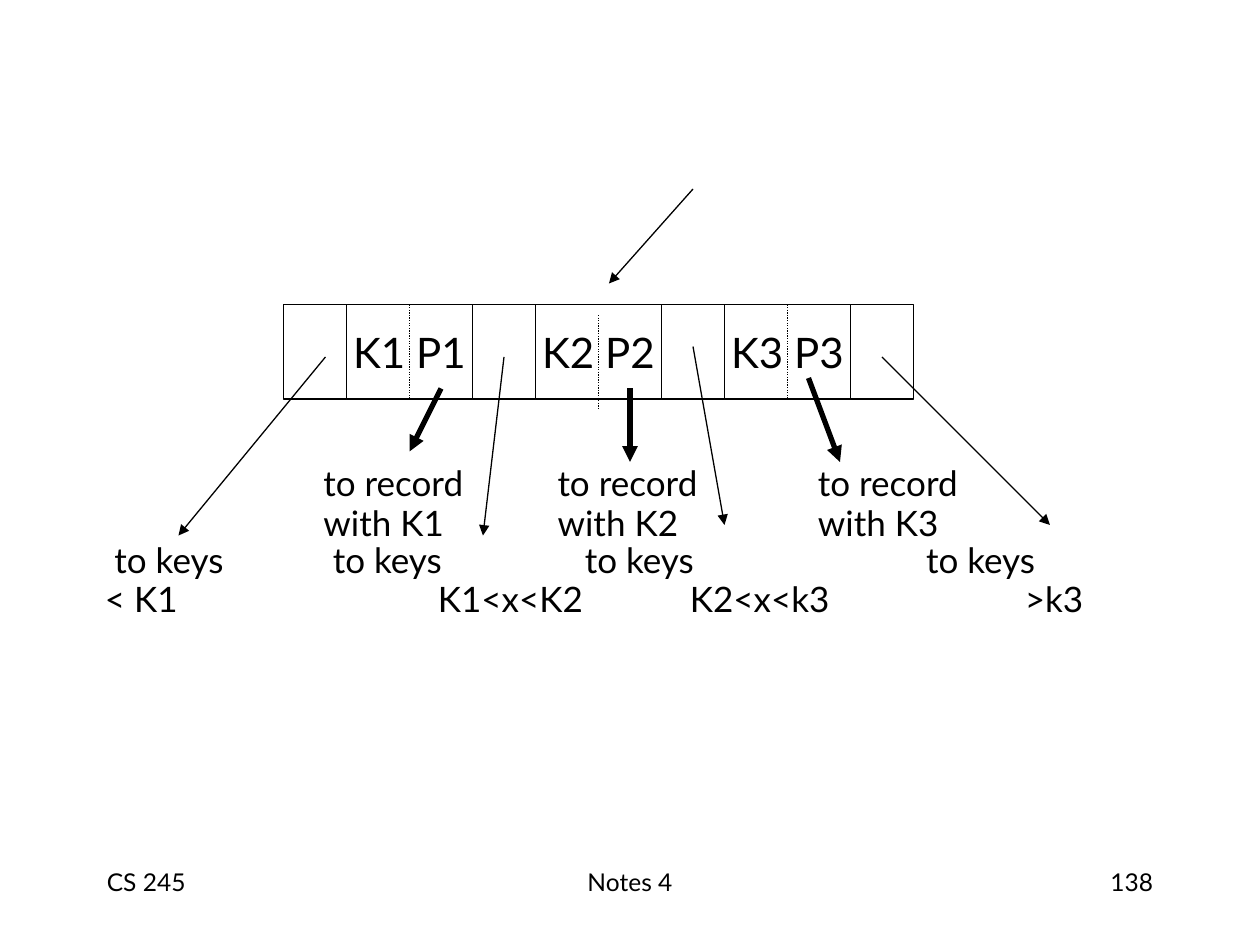
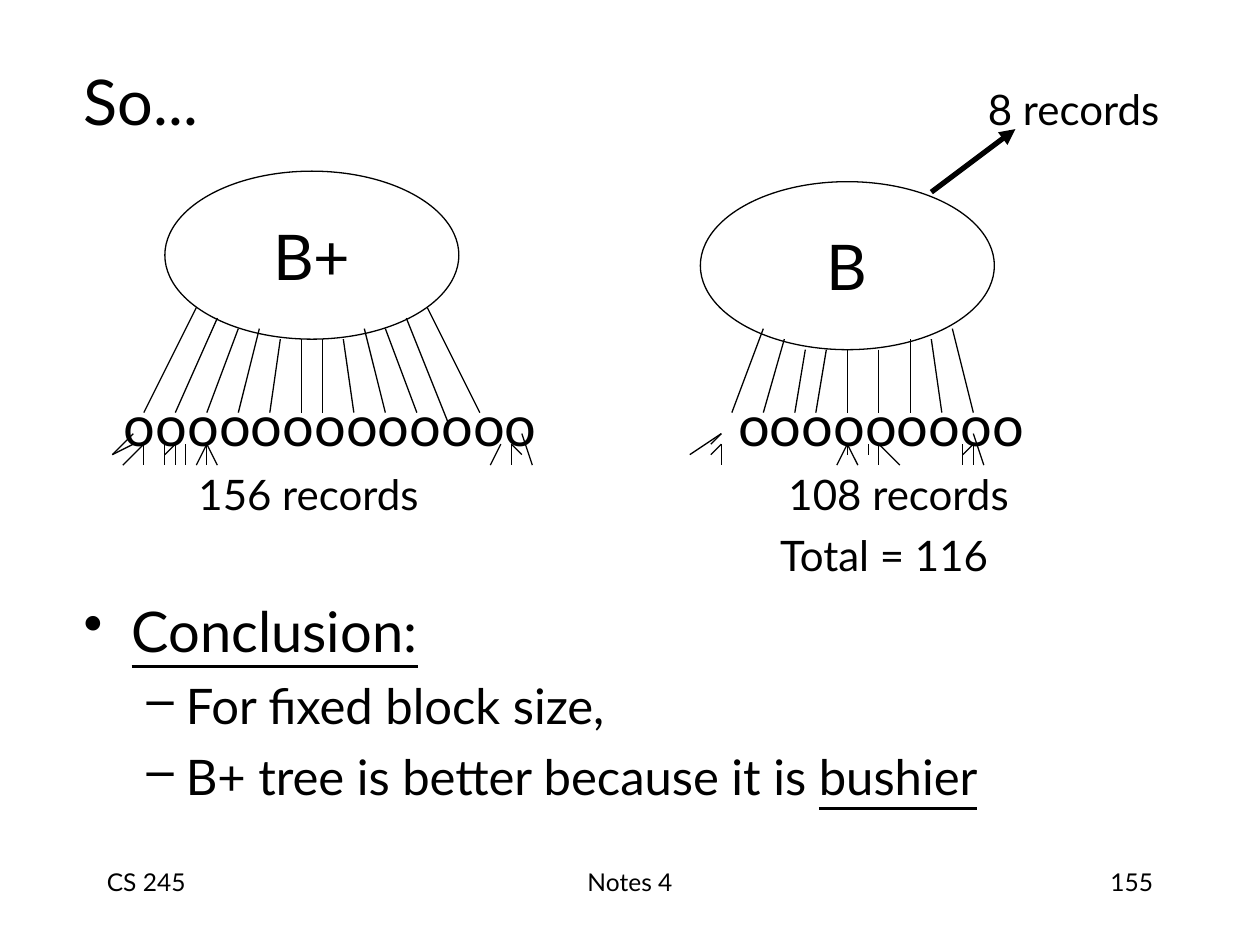
from dataclasses import dataclass
from typing import Any

from lxml import etree
from pptx import Presentation
from pptx.dml.color import RGBColor
from pptx.enum import dml, shapes, text
from pptx.oxml.ns import qn
from pptx.util import Inches, Pt

COLS, ROWS = 120, 90
WIDTH, HEIGHT = Inches(10), Inches(7.5)
INK, PAPER = "000000", "FFFFFF"
FONT = "Lato"
THIN, THICK = 0.75, 3
LEFT, CENTER, RIGHT = (text.PP_ALIGN.LEFT, text.PP_ALIGN.CENTER,
                       text.PP_ALIGN.RIGHT)
MIDDLE, TOP = text.MSO_ANCHOR.MIDDLE, text.MSO_ANCHOR.TOP


def color(hex_code):
    return RGBColor.from_string(hex_code)


@dataclass
class Box:
    """A region of a slide; its origin is in grid columns and rows."""
    slide: Any
    col: float = 0
    row: float = 0

    def x(self, col):
        return round((self.col + col) * WIDTH / COLS)

    def y(self, row):
        return round((self.row + row) * HEIGHT / ROWS)

    def rect(self, col, row, cols, rows):
        return (self.x(col), self.y(row),
                round(cols * WIDTH / COLS), round(rows * HEIGHT / ROWS))


def add_run(p, words, size, underline=False):
    r = p.add_run()
    r.text = words
    r.font.name, r.font.size = FONT, Pt(size)
    r.font.color.rgb = color(INK)
    if underline:
        r.font.underline = True


def set_indent(p, margin, hanging=0):
    pPr = p._p.get_or_add_pPr()
    pPr.set("marL", str(round(margin)))
    pPr.set("indent", str(-round(hanging)))


def add_text(box, rect, words, size, align=LEFT, anchor=TOP, wrap=True, inset=True):
    tf = box.slide.shapes.add_textbox(*box.rect(*rect)).text_frame
    tf.word_wrap, tf.vertical_anchor = wrap, anchor
    if not inset:
        tf.margin_left = tf.margin_right = tf.margin_top = tf.margin_bottom = 0
    p = tf.paragraphs[0]
    p.alignment = align
    if words:
        add_run(p, words, size)
    return tf


def add_node(box, kind, rect, words="", size=24):
    sp = box.slide.shapes.add_shape(kind, *box.rect(*rect))
    sp.shadow.inherit = False
    sp.fill.solid()
    sp.fill.fore_color.rgb = color(PAPER)
    sp.line.color.rgb = color(INK)
    sp.line.width = Pt(THIN)
    if words:
        tf = sp.text_frame
        tf.word_wrap, tf.vertical_anchor = False, MIDDLE
        p = tf.paragraphs[0]
        p.alignment = CENTER
        add_run(p, words, size)
    return sp


def add_line(box, start, end, width=THIN, arrow=False, dotted=False):
    line = box.slide.shapes.add_connector(
        shapes.MSO_CONNECTOR.STRAIGHT, box.x(start[0]), box.y(start[1]),
        box.x(end[0]), box.y(end[1]))
    line.line.color.rgb = color(INK)
    line.line.width = Pt(width)
    if dotted:
        line.line.dash_style = dml.MSO_LINE.ROUND_DOT
    if arrow:
        etree.SubElement(line.line._get_or_add_ln(), qn("a:tailEnd"), type="triangle")
    etree.SubElement(line._element.spPr, qn("a:effectLst"))
    return line


def add_footer(box, number):
    for col, cols, words, align in ((9, 25, "CS 245", LEFT),
                                    (41, 38, "Notes 4", CENTER),
                                    (86, 25, number, RIGHT)):
        add_text(box, (col, 82, cols, 6), words, 14, align)


def add_label(box, col, row, first, second, shift=(0, 0)):
    """Two tight lines, each shifted right by its own number of columns."""
    tf = add_text(box, (col, row, 24, 7.5), first, 20, inset=False)
    p = tf.add_paragraph()
    p.line_spacing, p.space_before = 0.7, Pt(5)
    add_run(p, second, 20)
    for p, cols in zip(tf.paragraphs, shift):
        set_indent(p, cols * WIDTH / COLS)


def add_index_node(box):
    """Key cells between child-pointer cells, with the arrows they send out."""
    cell, height, period = 6, 9, 18
    for i in range(4):
        add_node(box, shapes.MSO_SHAPE.RECTANGLE, (i * period, 0, cell, height))
    for i, drop in enumerate((0, 1, 0)):
        left = i * period + cell
        sp = add_node(box, shapes.MSO_SHAPE.RECTANGLE, (left, 0, 2 * cell, height),
                      f"K{i + 1} P{i + 1}")
        middle = left + cell
        divider = add_line(box, (middle, drop), (middle, height + drop), dotted=True)
        if not drop:
            divider.begin_connect(sp, 0)
            divider.end_connect(sp, 2)
    for start, end in (((15, 8), (12, 14)), ((33, 8), (33, 15)), ((50, 7), (53, 15))):
        add_line(box, start, end, THICK, arrow=True)
    for start, end in (((4, 5), (-10, 22)), ((21, 5), (19, 22)), ((39, 4), (42, 21)),
                       ((57, 5), (73, 21)), ((39, -11), (31, -2))):
        add_line(box, start, end, arrow=True)


def build_node_slide(slide):
    page = Box(slide)
    add_footer(page, "138")
    for i, col in enumerate((30.8, 53.1, 77.9), 1):
        add_label(page, col, 44, "to record", f"with K{i}")
    for col, keys, shift in ((10, "< K1", (0.9, 0)), (31.7, "K1<x<K2", (0, 10)),
                             (55.7, "K2<x<k3", (0, 10)), (88.2, ">k3", (0, 9.4))):
        add_label(page, col, 51.3, "to keys", keys, shift)
    add_index_node(Box(slide, 27, 29))


@dataclass
class Tree:
    name: str
    drop: int         # rows from the top of the box to the oval
    branches: list    # (top column, top row, bottom column, bottom row)
    fans: list        # (column, row, ends of the pointers)
    leaves: int
    leaf_col: float
    captions: list    # (column, words)


BRANCH_TOPS = (13, 14, 15, 15, 16, 16, 16, 16, 15, 15, 14, 13)
B_PLUS = Tree(
    "B+", 0,
    [(3 + 2 * i, top, 3 * i - (2 if i < 6 else 3), 24 if i == 10 else 23)
     for i, top in enumerate(BRANCH_TOPS)],
    [(-3, 25, [(-5, 27)]), (-3, 26, [(-5, 27)]),
     (-2, 26, [(-4, 28), (-2, 28)]), (0, 26, [(0, 28)]),
     (1, 26, [(0, 27), (1, 28)]), (2, 26, [(2, 28)]),
     (4, 26, [(3, 28), (4, 28), (5, 28)]), (32, 26, [(31, 28)]),
     (33, 26, [(33, 28), (34, 27)]), (34, 25, [(35, 28)])],
    13, -3.9, [(3.2, "156 records")])
B = Tree(
    "B", 1,
    [(6, 15, 3, 23), (8, 16, 6, 23), (10, 17, 9, 23), (12, 17, 11, 23),
     (14, 17, 14, 23), (17, 17, 17, 23), (20, 16, 20, 23), (22, 16, 23, 23),
     (24, 15, 26, 23)],
    [(2, 25, [(-1, 27), (1, 26)]), (2, 26, [(1, 27), (2, 27), (2, 28)]),
     (14, 26, [(13, 28), (14, 27), (15, 28)]), (16, 26, [(16, 27)]),
     (17, 26, [(17, 28), (19, 28)]), (25, 26, [(25, 28)]),
     (26, 25, [(27, 28)]), (26, 26, [(25, 27), (26, 28)])],
    9, 3.6, [(8.4, "108 records"), (7.6, "Total = 116")])


def add_tree(box, tree):
    add_text(box, (tree.leaf_col, 20.9, 42, 6.4), "o" * tree.leaves, 32, inset=False)
    for i, (col, words) in enumerate(tree.captions):
        add_text(box, (col, 28.3 + 5.8 * i, 30, 4.8), words, 24, inset=False)
    add_node(box, shapes.MSO_SHAPE.OVAL, (0, tree.drop, 28, 16), tree.name, 36)
    for x0, y0, x1, y1 in tree.branches:
        add_line(box, (x0, y0), (x1, y1))
    for col, row, ends in tree.fans:
        for end in ends:
            add_line(box, (col, row), end)


def add_bullet(p, sign, margin, hanging):
    set_indent(p, Inches(margin), Inches(hanging))
    pPr = p._p.get_or_add_pPr()
    tint = etree.SubElement(pPr, qn("a:buClr"))
    etree.SubElement(tint, qn("a:srgbClr"), val=INK)
    etree.SubElement(pPr, qn("a:buChar"), char=sign)


def add_conclusion(box):
    tf = add_text(box, (0, 0, 102, 23.9), "", 32)
    p = tf.paragraphs[0]
    add_bullet(p, "•", 0.38, 0.38)
    add_run(p, "Conclusion:", 32, underline=True)
    for words, stressed in (("For fixed block size,", ""),
                            ("B+ tree is better because it is ", "bushier")):
        p = tf.add_paragraph()
        p.level, p.space_before = 1, Pt(7)
        add_bullet(p, "–", 0.81, 0.31)
        add_run(p, words, 28)
        if stressed:
            add_run(p, stressed, 28, underline=True)


def build_comparison_slide(slide):
    page = Box(slide)
    add_footer(page, "155")
    add_text(page, (6.8, 4.8, 102, 9.5), "So...", 36, anchor=MIDDLE)
    add_tree(Box(slide, 15.7, 16.3), B_PLUS)
    b_box = Box(slide, 66.7, 16.3)
    add_tree(b_box, B)
    add_line(b_box, (22, 2), (30, -4), THICK, arrow=True)
    add_text(page, (92.3, 7.4, 19.9, 6), "8 records", 24, CENTER, MIDDLE, wrap=False)
    add_conclusion(Box(slide, 6.8, 56.2))


def main():
    prs = Presentation()
    prs.slide_width, prs.slide_height = WIDTH, HEIGHT
    for build in (build_node_slide, build_comparison_slide):
        build(prs.slides.add_slide(prs.slide_layouts[6]))
    prs.save("out.pptx")


if __name__ == "__main__":
    main()
